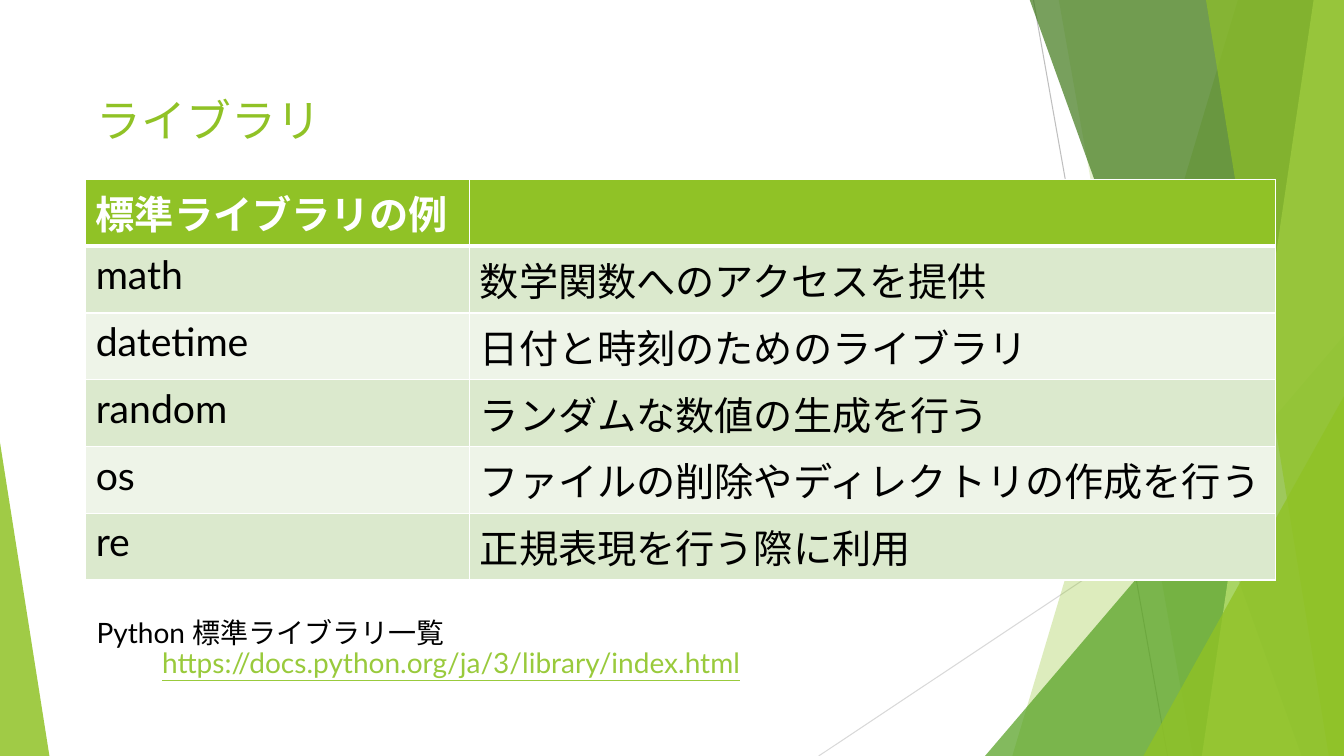
from lxml.etree import SubElement
from pptx import Presentation
from pptx.dml.color import RGBColor
from pptx.enum.shapes import MSO_CONNECTOR, MSO_SHAPE
from pptx.enum.text import MSO_ANCHOR, MSO_AUTO_SIZE, PP_ALIGN
from pptx.oxml import parse_xml
from pptx.oxml.ns import nsdecls, qn
from pptx.util import Inches, Pt

WHITE = RGBColor(0xFF, 0xFF, 0xFF)
BLACK = RGBColor(0x00, 0x00, 0x00)
LIME = RGBColor(0x90, 0xC2, 0x26)
GREEN = RGBColor(0x54, 0xA0, 0x21)
DARK_GREEN = RGBColor(0x3F, 0x78, 0x19)
PALE_LIME = RGBColor(0xC0, 0xE4, 0x74)
LINK_GREEN = RGBColor(0x99, 0xCA, 0x3C)
ROW_DARK = RGBColor(0xDB, 0xE9, 0xCD)
ROW_LIGHT = RGBColor(0xEE, 0xF4, 0xE8)
GRAY = RGBColor(0xBF, 0xBF, 0xBF)
LIGHT_GRAY = RGBColor(0xD9, 0xD9, 0xD9)

WIDTH, HEIGHT, TOP = 13.33, 7.5, -0.01

LIBRARIES = [
    ("標準ライブラリの例", ""),
    ("math", "数学関数へのアクセスを提供"),
    ("datetime", "日付と時刻のためのライブラリ"),
    ("random", "ランダムな数値の生成を行う"),
    ("os", "ファイルの削除やディレクトリの作成を行う"),
    ("re", "正規表現を行う際に利用"),
]


class SlideBuilder:
    """Draws styled elements on the current slide."""

    font_name = "Lato"

    def __init__(self, slide):
        self.slide = slide

    def format_text(self, text_frame, size, color, bold=False, underline=None):
        for paragraph in text_frame.paragraphs:
            paragraph.alignment = PP_ALIGN.LEFT
            for run in paragraph.runs:
                run.font.name = self.font_name
                run.font.size = Pt(size)
                run.font.color.rgb = color
                run.font.bold = bold
                run.font.underline = underline

    def title(self, text, left, top, width, height):
        shape = self.slide.shapes.title
        shape.left, shape.top = Inches(left), Inches(top)
        shape.width, shape.height = Inches(width), Inches(height)
        text_frame = shape.text_frame
        text_frame.text = text
        text_frame.auto_size = MSO_AUTO_SIZE.NONE
        text_frame.vertical_anchor = MSO_ANCHOR.TOP
        self.format_text(text_frame, 32, LIME)

    def text(self, text, left, top, width, height, color, underline=None):
        shape = self.slide.shapes.add_textbox(
            Inches(left), Inches(top), Inches(width), Inches(height))
        text_frame = shape.text_frame
        text_frame.word_wrap = True
        text_frame.auto_size = MSO_AUTO_SIZE.SHAPE_TO_FIT_TEXT
        text_frame.text = text
        self.format_text(text_frame, 20, color, underline=underline)

    def line(self, start, end, color):
        connector = self.slide.shapes.add_connector(
            MSO_CONNECTOR.STRAIGHT, *map(Inches, start + end))
        connector.line.color.rgb = color
        connector.line.width = Pt(0.75)
        SubElement(connector._element.spPr, qn("a:effectLst"))

    def paint(self, shape, color, opacity):
        shape.shadow.inherit = False
        shape.line.fill.background()
        shape.fill.solid()
        shape.fill.fore_color.rgb = color
        color_element = shape._element.spPr.find(qn("a:solidFill"))[0]
        SubElement(color_element, qn("a:alpha"), val=str(opacity * 1000))

    def band(self, top_left, bottom_left, color, opacity):
        corners = [(WIDTH, TOP), (WIDTH, HEIGHT), (bottom_left, HEIGHT)]
        builder = self.slide.shapes.build_freeform(Inches(top_left), Inches(TOP))
        builder.add_line_segments([(Inches(x), Inches(y)) for x, y in corners])
        self.paint(builder.convert_to_shape(), color, opacity)

    def triangle(self, left, top, width, apex, color, opacity):
        shape = self.slide.shapes.add_shape(
            MSO_SHAPE.ISOSCELES_TRIANGLE, Inches(left), Inches(top),
            Inches(width), Inches(HEIGHT - top))
        shape.adjustments[0] = apex
        self.paint(shape, color, opacity)

    def cell_borders(self, cell, widths):
        properties = cell._tc.get_or_add_tcPr()
        for index, (side, width) in enumerate(widths.items()):
            border = parse_xml(
                f'<a:ln{side} {nsdecls("a")} w="{Pt(width)}"><a:solidFill>'
                f'<a:srgbClr val="{WHITE}"/></a:solidFill></a:ln{side}>')
            properties.insert(index, border)

    def table(self, rows, left, top, column_widths, row_height):
        frame = self.slide.shapes.add_table(
            len(rows), len(column_widths), Inches(left), Inches(top),
            Inches(sum(column_widths)), Inches(row_height * len(rows)))
        table = frame.table
        for column, width in zip(table.columns, column_widths):
            column.width = Inches(width)
        for row_index, row in enumerate(rows):
            header = row_index == 0
            fill_color = LIME if header else (ROW_LIGHT, ROW_DARK)[row_index % 2]
            widths = {"L": 1, "R": 1, "T": 3 if row_index == 1 else 1,
                      "B": 3 if header else 1}
            for column_index, text in enumerate(row):
                cell = table.cell(row_index, column_index)
                cell.text_frame.text = text
                cell.fill.solid()
                cell.fill.fore_color.rgb = fill_color
                self.cell_borders(cell, widths)
                self.format_text(
                    cell.text_frame, 28, WHITE if header else BLACK, bold=header)


def main():
    presentation = Presentation()
    presentation.slide_width = Inches(WIDTH)
    presentation.slide_height = Inches(HEIGHT)
    slide = presentation.slides.add_slide(presentation.slide_layouts[5])
    builder = SlideBuilder(slide)

    builder.line((10.25, 0), (11.58, HEIGHT), GRAY)
    builder.line((WIDTH, 4.03), (8.12, HEIGHT), LIGHT_GRAY)
    builder.band(12.28, 10.04, LIME, 30)
    builder.band(10.5, 11.83, LIME, 20)
    builder.triangle(9.77, 3.33, 3.56, 1, GREEN, 72)
    builder.band(10.21, 12.91, DARK_GREEN, 70)
    builder.band(13.03, 11.92, PALE_LIME, 70)
    builder.band(11.96, 13.18, LIME, 65)
    builder.triangle(11.34, 3.93, 1.99, 1, LIME, 80)
    builder.triangle(0, 4.39, 0.49, 0, LIME, 85)

    builder.title("ライブラリ", 0.86, 0.87, 9.4, 1.44)
    builder.table(LIBRARIES, 0.85, 1.78, (3.81, 7.99), 0.54)
    builder.text("https://docs.python.org/ja/3/library/index.html",
                 1.51, 6.35, 7.46, 0.44, LINK_GREEN, underline=True)
    builder.text("Python 標準ライブラリ一覧", 0.86, 6.06, 5.71, 0.44, BLACK)
    presentation.save("out.pptx")


if __name__ == "__main__":
    main()
